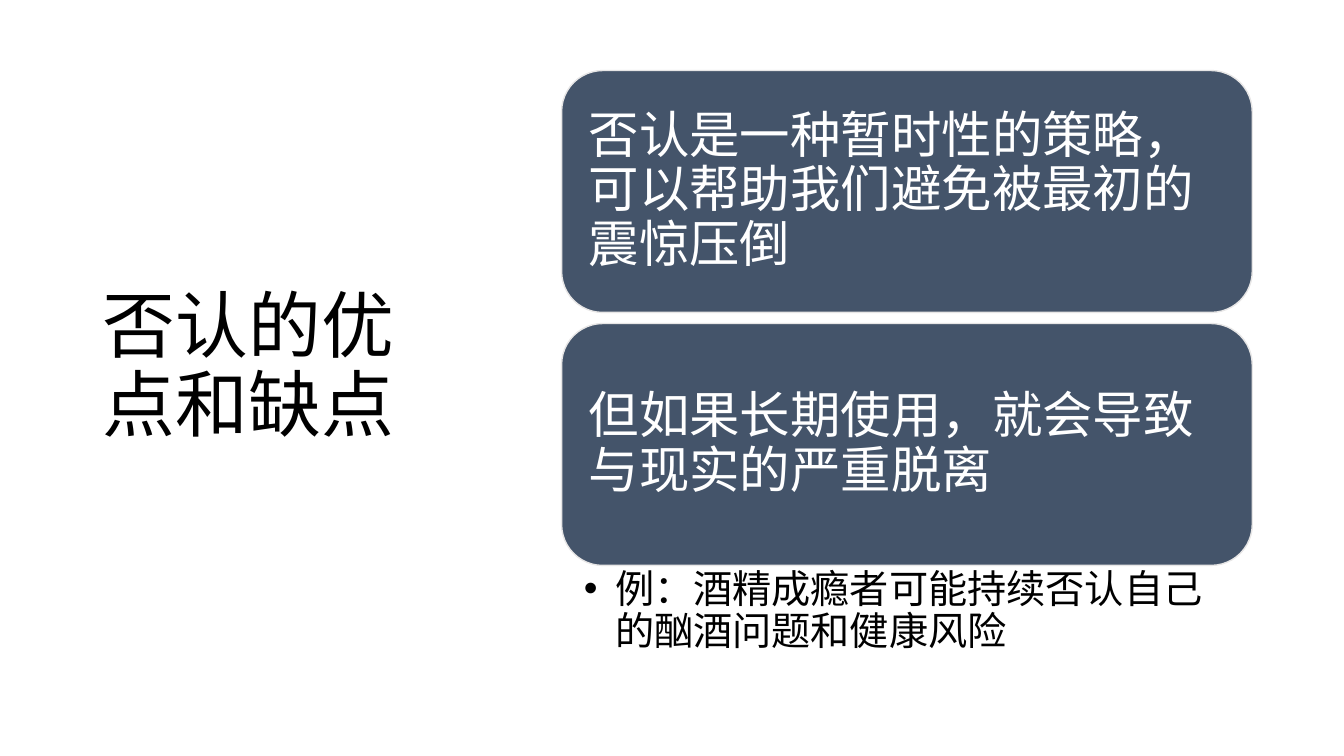
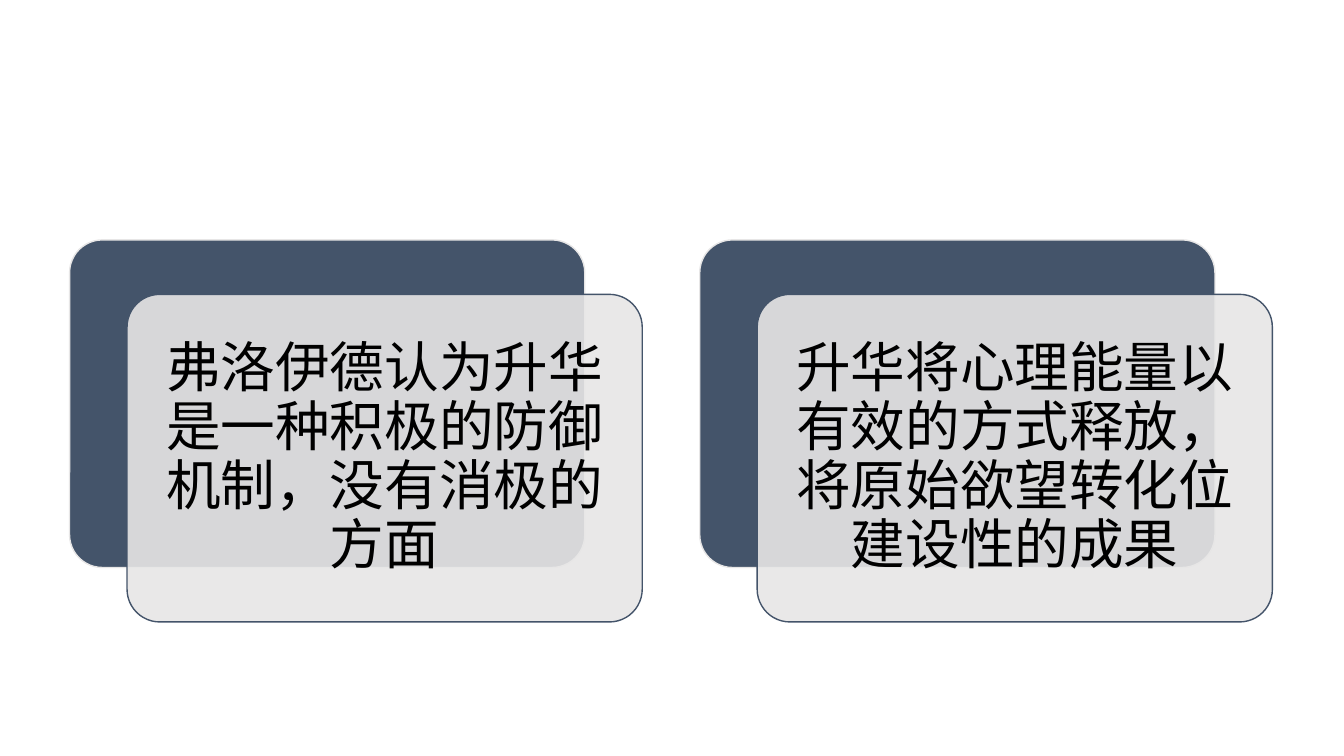
from pptx import Presentation
from pptx.dml.color import RGBColor
from pptx.enum.shapes import MSO_SHAPE
from pptx.enum.text import MSO_ANCHOR, MSO_AUTO_SIZE, PP_ALIGN
from pptx.oxml.ns import qn
from pptx.util import Emu, Pt
from lxml.etree import SubElement

# Content
TITLE = "否认的优点和缺点"
POINTS = [
    "否认是一种暂时性的策略，可以帮助我们避免被最初的震惊压倒",
    "但如果长期使用，就会导致与现实的严重脱离",
]
EXAMPLE = "例：酒精成瘾者可能持续否认自己的酗酒问题和健康风险"
CARDS = [
    "弗洛伊德认为升华是一种积极的防御机制，没有消极的方面",
    "升华将心理能量以有效的方式释放，将原始欲望转化位建设性的成果",
]

# Shared style
FONT = "Noto Sans CJK SC"
NAVY, PALE, BLACK, WHITE = "44546A", "E7E6E6", "000000", "FFFFFF"


def px(n):
    """Lengths are in px, 100 to the inch."""
    return Emu(n * 9144)


def color(code):
    return RGBColor.from_string(code)


def write(shape, text, size, ink, pads, anchor=MSO_ANCHOR.MIDDLE,
          align=PP_ALIGN.LEFT, bullet=None):
    frame = shape.text_frame
    frame.text = text
    frame.word_wrap = True
    frame.auto_size = MSO_AUTO_SIZE.NONE
    frame.vertical_anchor = anchor
    (frame.margin_left, frame.margin_top,
     frame.margin_right, frame.margin_bottom) = map(px, pads)
    para = frame.paragraphs[0]
    para.alignment = align
    para.line_spacing = 0.9
    para.space_before = Pt(0)
    if bullet:
        props = para._p.get_or_add_pPr()
        props.set("marL", str(px(31)))
        props.set("indent", str(px(-31)))
        SubElement(props, qn("a:buChar")).set("char", bullet)
    run = para.runs[0]
    run.font.size = Pt(size)
    run.font.color.rgb = color(ink)
    run.font.name = FONT
    latin = run._r.get_or_add_rPr().find(qn("a:latin"))
    east = latin.makeelement(qn("a:ea"), {"typeface": FONT})
    latin.addnext(east)


def place(shape, *box):
    shape.left, shape.top, shape.width, shape.height = map(px, box)


def panel(slide, box, fill, edge, round_by, alpha=None):
    shape = slide.shapes.add_shape(MSO_SHAPE.ROUNDED_RECTANGLE, *map(px, box))
    shape.shadow.inherit = False
    shape.adjustments[0] = round_by
    shape.fill.solid()
    shape.fill.fore_color.rgb = color(fill)
    shape.line.color.rgb = color(edge)
    shape.line.width = Pt(1)
    if alpha:
        tone = shape._element.spPr.find(qn("a:solidFill"))[0]
        SubElement(tone, qn("a:alpha")).set("val", str(alpha * 1000))
    return shape


def points(deck):
    slide = deck.slides.add_slide(deck.slide_layouts[1])
    title, body = slide.placeholders
    place(title, 92, 61, 369, 609)
    write(title, TITLE, 52, BLACK, (10, 5, 10, 5))

    # Stacked panels, then the example below them
    left, top, wide, high, gap = 557, 70, 685, 240, 11
    for i, text in enumerate(POINTS):
        box = left, top + i * (high + gap), wide, high
        write(panel(slide, box, NAVY, PALE, 0.17), text, 36, WHITE, [15] * 4)
    place(body, left, 560, wide, 108)
    write(body, EXAMPLE, 28, BLACK, (22, 5, 28, 5), MSO_ANCHOR.TOP, bullet="•")


def cards(deck):
    slide = deck.slides.add_slide(deck.slide_layouts[6])
    left, top, wide, high, step = 69, 238, 511, 325, 625
    shift_x, shift_y = 57, 54
    for i, text in enumerate(CARDS):
        x = left + i * step
        panel(slide, (x, top, wide, high), NAVY, PALE, 0.1)
        front = panel(slide, (x + shift_x, top + shift_y, wide, high),
                      PALE, NAVY, 0.1, alpha=90)
        write(front, text, 39, BLACK, [16] * 4, align=PP_ALIGN.CENTER)


def main():
    deck = Presentation()
    deck.slide_width, deck.slide_height = px(1333), px(750)
    points(deck)
    cards(deck)
    deck.save("out.pptx")


if __name__ == "__main__":
    main()
